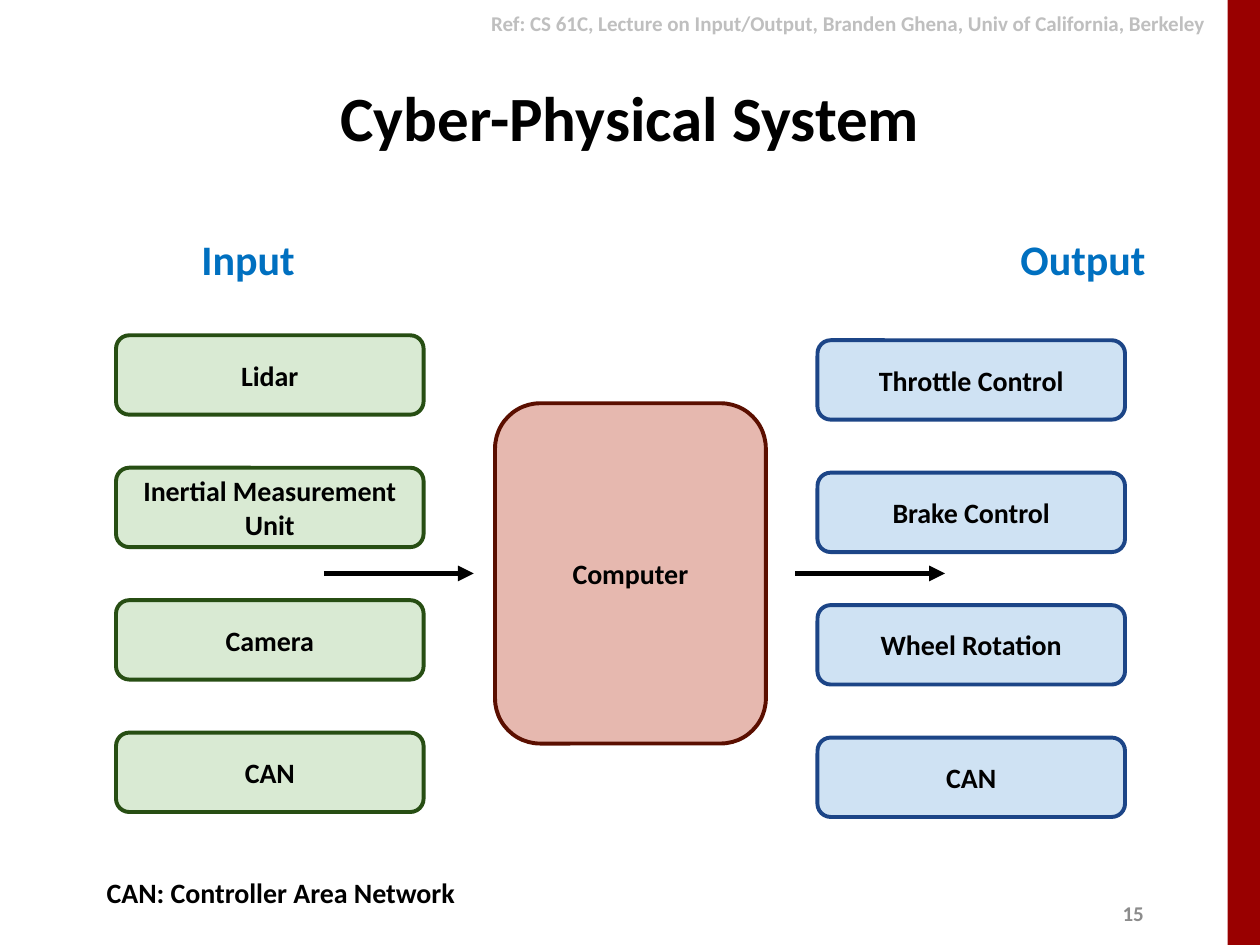
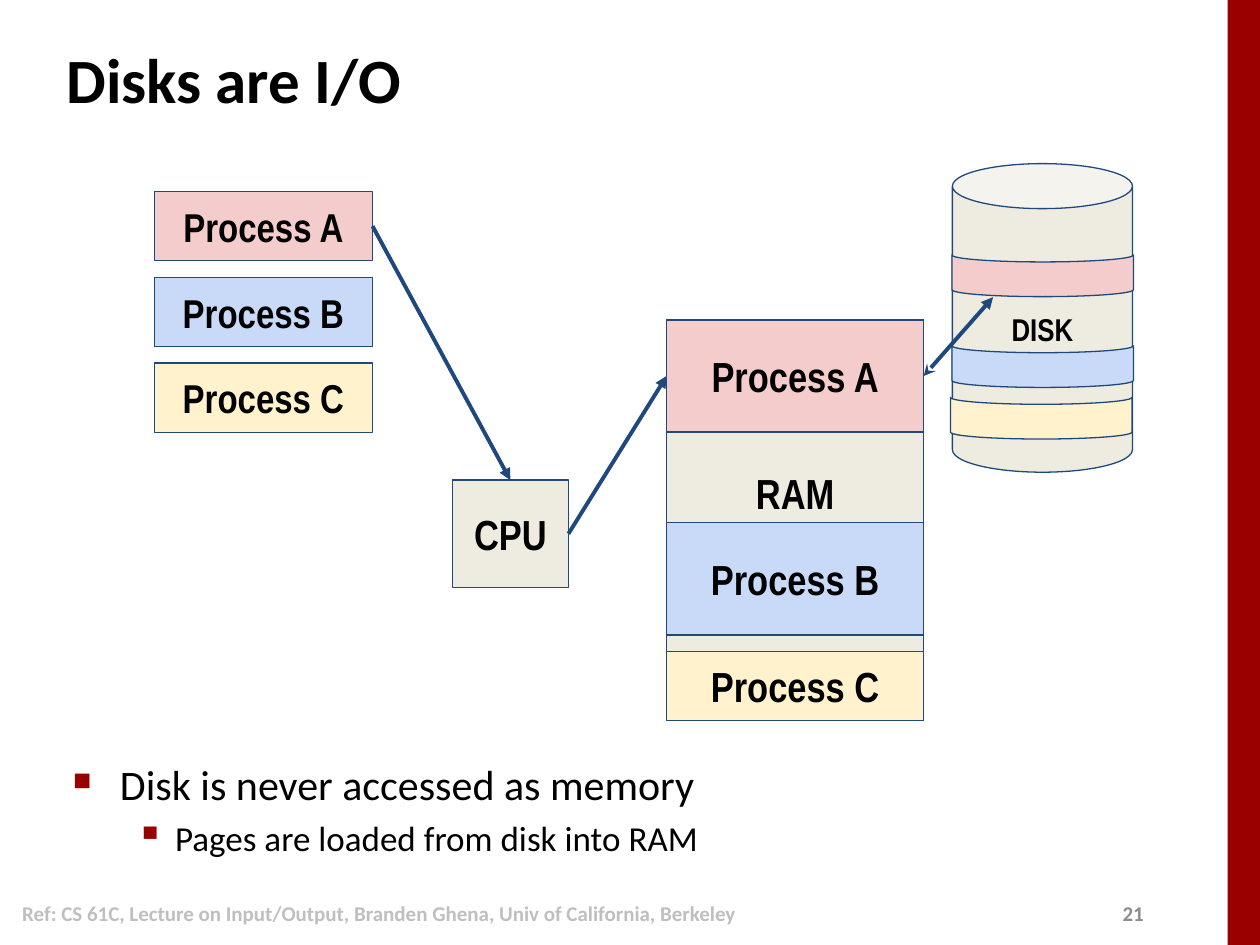
from pptx import Presentation
from pptx import util as u
from pptx.dml.color import RGBColor
from pptx.enum import shapes, text
from pptx.oxml import ns
from lxml import etree

BLACK = RGBColor(0x00, 0x00, 0x00)
DARK_RED = RGBColor(0x99, 0x00, 0x00)
PAGE_GREY = RGBColor(0x8C, 0x8C, 0x8C)
REF_GREY = RGBColor(0xBF, 0xBF, 0xBF)
HEADING_BLUE = RGBColor(0x00, 0x70, 0xC0)
NAVY = RGBColor(0x1F, 0x49, 0x7D)
BEIGE = RGBColor(0xEE, 0xEC, 0xE1)
PINK = RGBColor(0xF4, 0xCC, 0xCC)
SKY = RGBColor(0xC9, 0xDA, 0xF8)
YELLOW = RGBColor(0xFF, 0xF2, 0xCC)
GREEN_FILL = RGBColor(0xD9, 0xEA, 0xD3)
GREEN_LINE = RGBColor(0x27, 0x4E, 0x13)
BLUE_FILL = RGBColor(0xCF, 0xE2, 0xF3)
BLUE_LINE = RGBColor(0x1C, 0x45, 0x87)
ROSE_FILL = RGBColor(0xE6, 0xB8, 0xAF)
ROSE_LINE = RGBColor(0x5B, 0x0F, 0x00)

RECT = shapes.MSO_SHAPE.RECTANGLE
ROUNDED = shapes.MSO_SHAPE.ROUNDED_RECTANGLE
LEFT, CENTER = text.PP_ALIGN.LEFT, text.PP_ALIGN.CENTER
TOP, MIDDLE = text.MSO_ANCHOR.TOP, text.MSO_ANCHOR.MIDDLE
REFERENCE = ("Ref: CS 61C, Lecture on Input/Output, Branden Ghena, "
             "Univ of California, Berkeley")


def write(box, words, size, color=BLACK, align=LEFT, anchor=MIDDLE, inset=0.25,
          bold=True, font="Calibri"):
    frame = box.text_frame
    frame.word_wrap = True
    frame.vertical_anchor = anchor
    frame.margin_left = frame.margin_right = u.Cm(0.25)
    frame.margin_top = frame.margin_bottom = u.Cm(inset)
    para = frame.paragraphs[0]
    para.alignment = align
    span = para.add_run()
    span.text = words
    span.font.name, span.font.size, span.font.bold = font, u.Pt(size), bold
    span.font.color.rgb = color


def add_box(page, kind, place, fill, line, width=0.75, label="", size=16, font="Arial Narrow"):
    box = page.shapes.add_shape(kind, *map(u.Cm, place))
    box.shadow.inherit = False
    box.fill.solid()
    box.fill.fore_color.rgb = fill
    box.line.color.rgb = line
    box.line.width = u.Pt(width)
    if label:
        write(box, label, size, align=CENTER, font=font)
    return box


deck = Presentation()
deck.slide_width, deck.slide_height = u.Cm(25.4), u.Cm(19.05)

# Shared parts: side band, page number, title, reference
pages = []
for number, title, title_place, title_align, ref_left, ref_top in (
    ("15", "Cyber-Physical System", (1.27, 0.76, 22.86, 3.18), CENTER, 9.5, 0),
    ("21", "Disks are I/O", (1.09, 0.53, 21.08, 2.11), LEFT, 0.05, 17.95),
):
    page = deck.slides.add_slide(deck.slide_layouts[6])
    band = add_box(page, RECT, (24.75, 0, 0.65, 19.05), DARK_RED, DARK_RED)
    band.line.fill.background()
    box = page.shapes.add_textbox(u.Cm(22.38), u.Cm(18.03), u.Cm(1.02), u.Cm(0.76))
    write(box, number, 12, PAGE_GREY, inset=0.13)
    box = page.shapes.add_textbox(*map(u.Cm, title_place))
    write(box, title, 36, align=title_align)
    box = page.shapes.add_textbox(u.Cm(ref_left), u.Cm(ref_top), u.Cm(15.2), u.Cm(0.92))
    write(box, REFERENCE, 12, REF_GREY, CENTER, inset=0.13)
    pages.append(page)
system_page, disk_page = pages
arrows = []

# Cyber-physical system: computer with its input and output columns
add_box(system_page, ROUNDED, (9.98, 8.13, 5.46, 6.86), ROSE_FILL, ROSE_LINE, 2.25,
        "Computer", font="Calibri")
for heading, heading_left, left, top, fill, line, arrow_left, labels in (
    ("Input", 3.81, 2.34, 6.76, GREEN_FILL, GREEN_LINE, 6.53,
     ("Lidar", "Inertial Measurement Unit", "Camera", "CAN")),
    ("Output", 20.32, 16.48, 6.86, BLUE_FILL, BLUE_LINE, 16.03,
     ("Throttle Control", "Brake Control", "Wheel Rotation", "CAN")),
):
    box = system_page.shapes.add_textbox(u.Cm(heading_left), u.Cm(4.46), u.Cm(4), u.Cm(1.5))
    write(box, heading, 24, HEADING_BLUE, anchor=TOP)
    for row, label in enumerate(labels):
        add_box(system_page, ROUNDED, (left, top + 2.67 * row, 6.2, 1.6), fill, line, 2.25,
                label, font="Calibri")
    arrow = system_page.shapes.add_connector(
        shapes.MSO_CONNECTOR.STRAIGHT, u.Cm(arrow_left), u.Cm(11.56),
        u.Cm(arrow_left + 3.02), u.Cm(11.56))
    arrows.append((arrow, BLACK, 3, None))
box = system_page.shapes.add_textbox(u.Cm(1.9), u.Cm(17.53), u.Cm(8), u.Cm(0.94))
write(box, "CAN: Controller Area Network", 16, anchor=TOP, inset=0.13)

# Disks: processor, memory and the processes in both places
cpu = add_box(disk_page, RECT, (9.12, 9.68, 2.34, 2.16), BEIGE, NAVY, label="CPU", size=24)
add_box(disk_page, RECT, (13.44, 6.45, 5.18, 6.96), BEIGE, NAVY, label="RAM", size=24)
waiting, loaded = [], []
for row, (label, fill, ram_top, ram_height) in enumerate((
    ("Process A", PINK, 6.45, 2.26),
    ("Process B", SKY, 10.54, 2.26),
    ("Process C", YELLOW, 13.13, 1.4),
)):
    waiting.append(add_box(disk_page, RECT, (3.12, 3.86 + 1.73 * row, 4.39, 1.4), fill, NAVY,
                           label=label, size=23))
    loaded.append(add_box(disk_page, RECT, (13.44, ram_top, 5.18, ram_height), fill, NAVY,
                          label=label, size=24))

# Disk drum with one stripe per process
add_box(disk_page, shapes.MSO_SHAPE.CAN, (19.2, 3.3, 3.63, 6.22), BEIGE, NAVY,
        label="DISK", size=18)
for left, top, fill in ((20.6, 3.73, PINK), (20.57, 6.6, YELLOW), (20.6, 5.56, SKY)):
    stripe = add_box(disk_page, shapes.MSO_SHAPE.FLOWCHART_STORED_DATA,
                     (left, top, 0.84, 3.66), fill, NAVY)
    stripe.rotation = 270

# Data path: process, processor, memory, disk
for source, target, side, head in (
    (waiting[0], cpu, 0, None),
    (cpu, loaded[0], 1, None),
    (loaded[0], None, None, "stealth"),
):
    arrow = disk_page.shapes.add_connector(
        shapes.MSO_CONNECTOR.STRAIGHT, u.Cm(18.62), u.Cm(7.58), u.Cm(20.02), u.Cm(5.99))
    arrow.begin_connect(source, 3)
    if target is not None:
        arrow.end_connect(target, side)
    arrows.append((arrow, NAVY, 2.25, head))

# Bullets
notes = disk_page.shapes.add_textbox(u.Cm(1.22), u.Cm(15.17), u.Cm(22.86), u.Cm(2.54))
write(notes, "Disk is never accessed as memory", 24, anchor=TOP, inset=0.13, bold=False)
para = notes.text_frame.add_paragraph()
para.level = 1
para.space_before = u.Pt(4)
span = para.add_run()
span.text = "Pages are loaded from disk into RAM"
span.font.name, span.font.size = "Calibri", u.Pt(20)
span.font.color.rgb = BLACK
for para, margin, hang, mark, percent in zip(
        notes.text_frame.paragraphs, (0.95, 2.06), (0.95, 0.79), "■▪", (60, 110)):
    props = para._p.get_or_add_pPr()
    props.set("marL", str(u.Cm(margin)))
    props.set("indent", str(-u.Cm(hang)))
    color = etree.SubElement(props, ns.qn("a:buClr"))
    etree.SubElement(color, ns.qn("a:srgbClr"), val=str(DARK_RED))
    etree.SubElement(props, ns.qn("a:buSzPct"), val=str(percent * 1000))
    etree.SubElement(props, ns.qn("a:buChar"), char=mark)

# Arrow style
for arrow, color, width, head in arrows:
    arrow.line.color.rgb = color
    arrow.line.width = u.Pt(width)
    stroke = arrow.line._get_or_add_ln()
    if head:
        etree.SubElement(stroke, ns.qn("a:headEnd"), type=head)
    etree.SubElement(stroke, ns.qn("a:tailEnd"), type="triangle")
    etree.SubElement(arrow._element.spPr, ns.qn("a:effectLst"))

deck.save("out.pptx")
